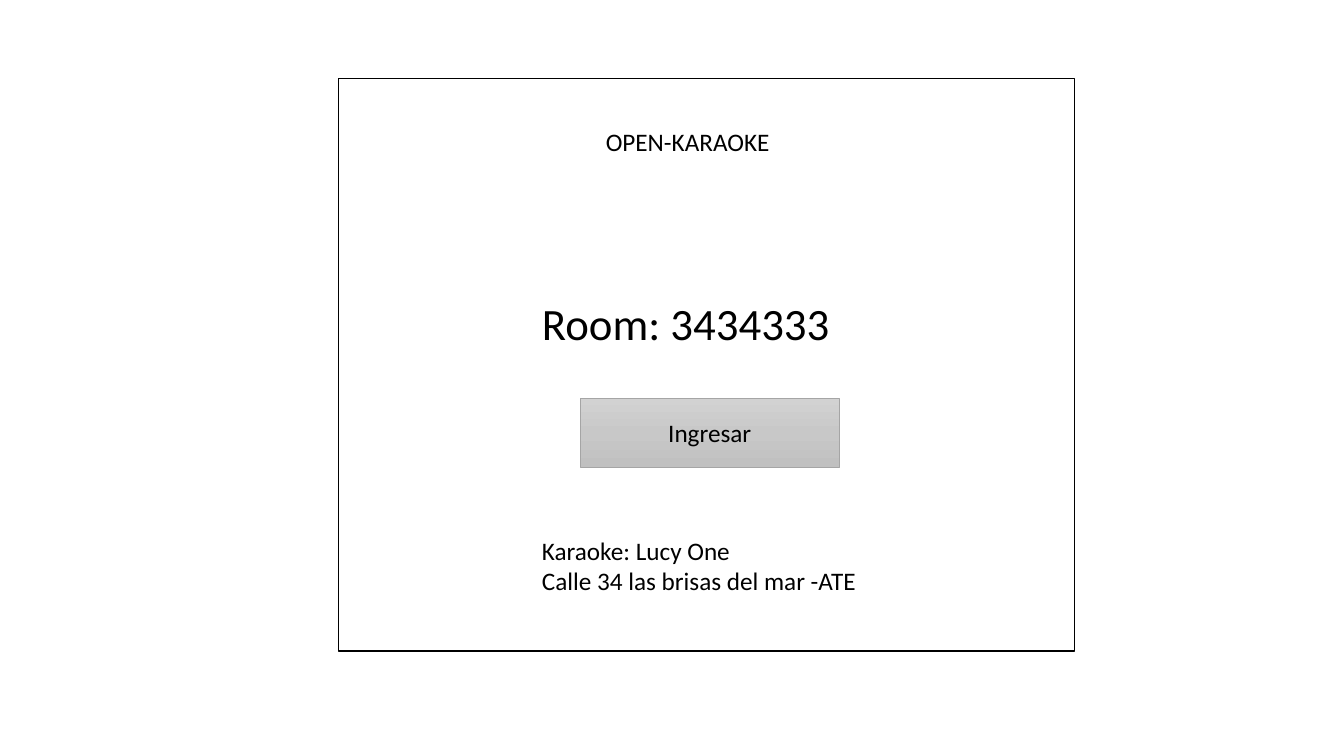
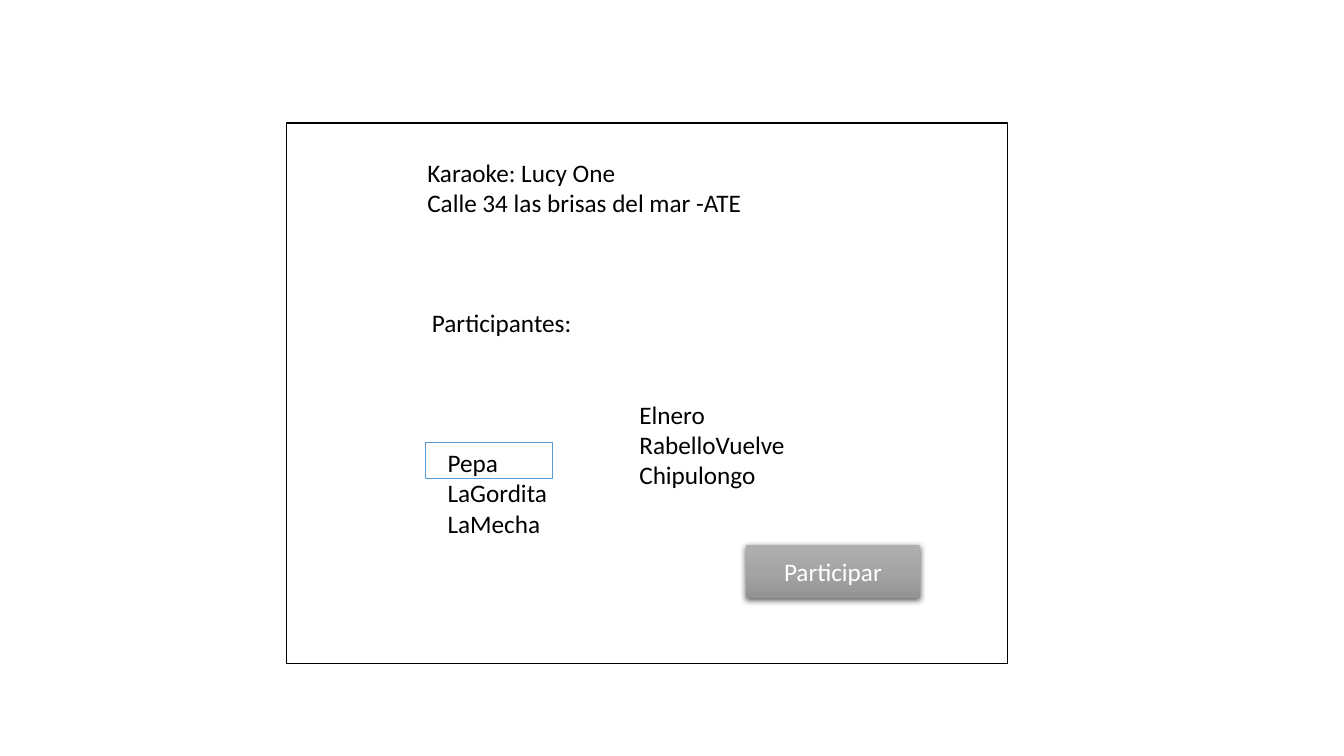
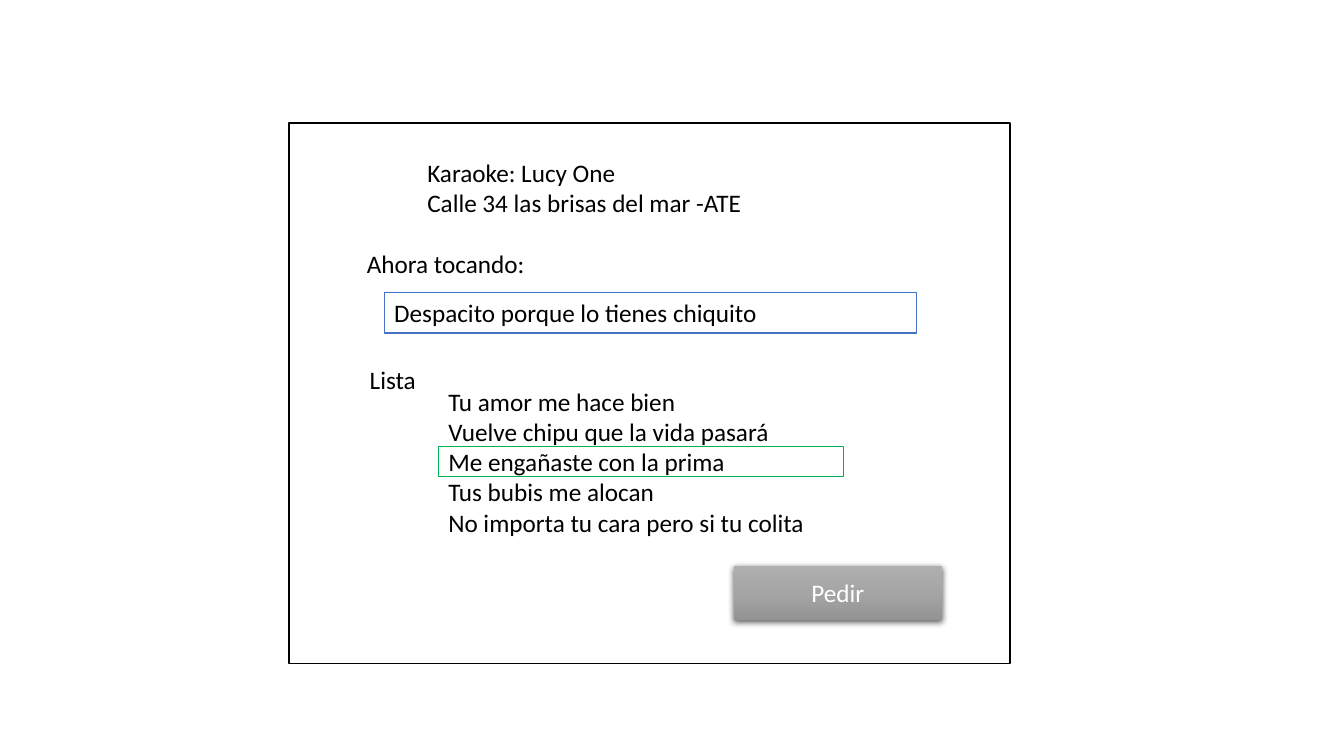
"""Build the three karaoke room screens."""
from copy import deepcopy
from dataclasses import dataclass

from pptx import Presentation
from pptx import util as u
from pptx.dml import color as c
from pptx.enum import shapes as s, text as t
from pptx.oxml import ns, parse_xml


@dataclass(frozen=True)
class Theme:
    """Hold the shared colours and type sizes."""
    font: str = "Calibri"
    body: int = 18
    large: int = 32
    ink: str = "000000"
    paper: str = "FFFFFF"
    sky: str = "5B9BD5"
    blue: str = "4472C4"
    green: str = "00B050"
    edge: str = "A5A5A5"
    light: tuple = ("D2D2D2", "C8C8C8", "C0C0C0")
    dark: tuple = ("AFAFAF", "A5A5A5", "939393")


LOOK = Theme()
VENUE = "Karaoke: Lucy One\nCalle 34 las brisas del mar -ATE"
SHADE = (
    f'<a:outerShdw {ns.nsdecls("a")} blurRad="57150" dist="19050" '
    'dir="5400000" algn="ctr" rotWithShape="0"><a:srgbClr val="000000">'
    '<a:alpha val="63000"/></a:srgbClr></a:outerShdw>'
)


def rgb(code):
    """Turn a hex code into a colour."""
    return c.RGBColor.from_string(code)


def pts(box):
    """Turn a box of numbers into point lengths."""
    return [u.Pt(n) for n in box]


def write(shape, words, size=LOOK.body, ink=LOOK.ink,
          align=t.PP_ALIGN.LEFT, anchor=t.MSO_ANCHOR.TOP):
    """Fill a shape with formatted text, one paragraph a line."""
    frame = shape.text_frame
    frame.text = words
    frame.word_wrap = True
    frame.auto_size = t.MSO_AUTO_SIZE.NONE
    frame.vertical_anchor = anchor
    for para in frame.paragraphs:
        para.alignment = align
        para.space_before = u.Pt(0)
        for run in para.runs:
            run.font.name = LOOK.font
            run.font.size = u.Pt(size)
            run.font.color.rgb = rgb(ink)


def label(slide, box, words, **form):
    """Add a text box."""
    write(slide.shapes.add_textbox(*pts(box)), words, **form)


def place(holder, box, words):
    """Move a placeholder and fill it."""
    holder.left, holder.top, holder.width, holder.height = pts(box)
    write(holder, words)


def roster(holder, box, words):
    """Fill a body placeholder with a list without bullets."""
    place(holder, box, words)
    for prop in holder.element.iter(ns.qn("a:pPr")):
        prop.set("marL", "0")
        prop.set("indent", "0")
        prop.append(parse_xml(f'<a:buNone {ns.nsdecls("a")}/>'))


def panel(slide, box, line=None, fill=None, width=1):
    """Add a flat rectangle."""
    shape = slide.shapes.add_shape(s.MSO_SHAPE.RECTANGLE, *pts(box))
    shape.shadow.inherit = False
    if fill:
        shape.fill.solid()
        shape.fill.fore_color.rgb = rgb(fill)
    else:
        shape.fill.background()
    if line:
        shape.line.color.rgb = rgb(line)
        shape.line.width = u.Pt(width)
    else:
        shape.line.fill.background()
    return shape


def screen(slide, box):
    """Add the screen frame behind everything else."""
    shape = panel(slide, box, LOOK.ink, LOOK.paper)
    slide.shapes.element.insert(2, shape.element)


def button(slide, box, words, tones=LOOK.dark, ink=LOOK.paper,
           line=None, raised=True):
    """Add a shaded button."""
    shape = panel(slide, box, line, width=0.5)
    shape.fill.gradient()
    shape.fill.gradient_angle = 270
    stops = shape.element.find(".//" + ns.qn("a:gsLst"))
    stops.insert(1, deepcopy(stops[0]))
    for step, (stop, tone) in enumerate(zip(shape.fill.gradient_stops, tones)):
        stop.color.rgb = rgb(tone)
        stop.position = step / 2
    if raised:
        shape.element.find(".//" + ns.qn("a:effectLst")).append(parse_xml(SHADE))
    write(shape, words, ink=ink, align=t.PP_ALIGN.CENTER,
          anchor=t.MSO_ANCHOR.MIDDLE)


def enter(slide):
    """Build the screen for entering a room."""
    screen(slide, (242, 56, 525.5, 409))
    place(slide.shapes.title, (425.5, 86.5, 144, 29), "OPEN-KARAOKE")
    label(slide, (380, 207.5, 299, 46), "Room: 3434333", size=LOOK.large)
    label(slide, (380, 379, 272, 51), VENUE)
    button(slide, (414.5, 284.5, 185, 49), "Ingresar", LOOK.light, LOOK.ink,
           LOOK.edge, raised=False)


def join(slide):
    """Build the screen of participants."""
    screen(slide, (204.5, 88, 515, 386))
    place(slide.shapes.title, (298, 108.5, 272, 51), VENUE)
    label(slide, (301.5, 216, 268.5, 29), "Participantes:")
    left, right = list(slide.placeholders)[1:]
    roster(left, (312.5, 316, 133, 73), "Pepa\nLaGordita\nLaMecha")
    roster(right, (449.5, 281.5, 133, 73), "Elnero\nRabelloVuelve\nChipulongo")
    panel(slide, (304, 316, 90.5, 26), LOOK.sky)
    button(slide, (533, 389, 124, 38), "Participar")


def order(slide):
    """Build the screen for asking for a song."""
    screen(slide, (206.5, 88, 515, 386))
    place(slide.shapes.title, (298, 108.5, 272, 51), VENUE)
    label(slide, (255, 173.5, 418, 29), "Ahora tocando:")
    song = panel(slide, (274.5, 209, 380, 29), LOOK.blue, LOOK.paper)
    write(song, "Despacito porque lo tienes chiquito")
    label(slide, (257, 257, 157, 29), "Lista")
    roster(slide.placeholders[1], (313, 272, 327, 117),
           "Tu amor me hace bien\nVuelve chipu que la vida pasará\n"
           "Me engañaste con la prima\nTus bubis me alocan\n"
           "No importa tu cara pero si tu colita")
    panel(slide, (313, 319, 289.5, 21.5), LOOK.green)
    button(slide, (524, 404, 149, 39), "Pedir")


def main():
    """Build and save the deck."""
    deck = Presentation()
    deck.slide_width, deck.slide_height = pts((960, 540))
    for name, build in (("Title Only", enter), ("Two Content", join),
                        ("Title and Content", order)):
        build(deck.slides.add_slide(deck.slide_layouts.get_by_name(name)))
    deck.save("out.pptx")


main()
